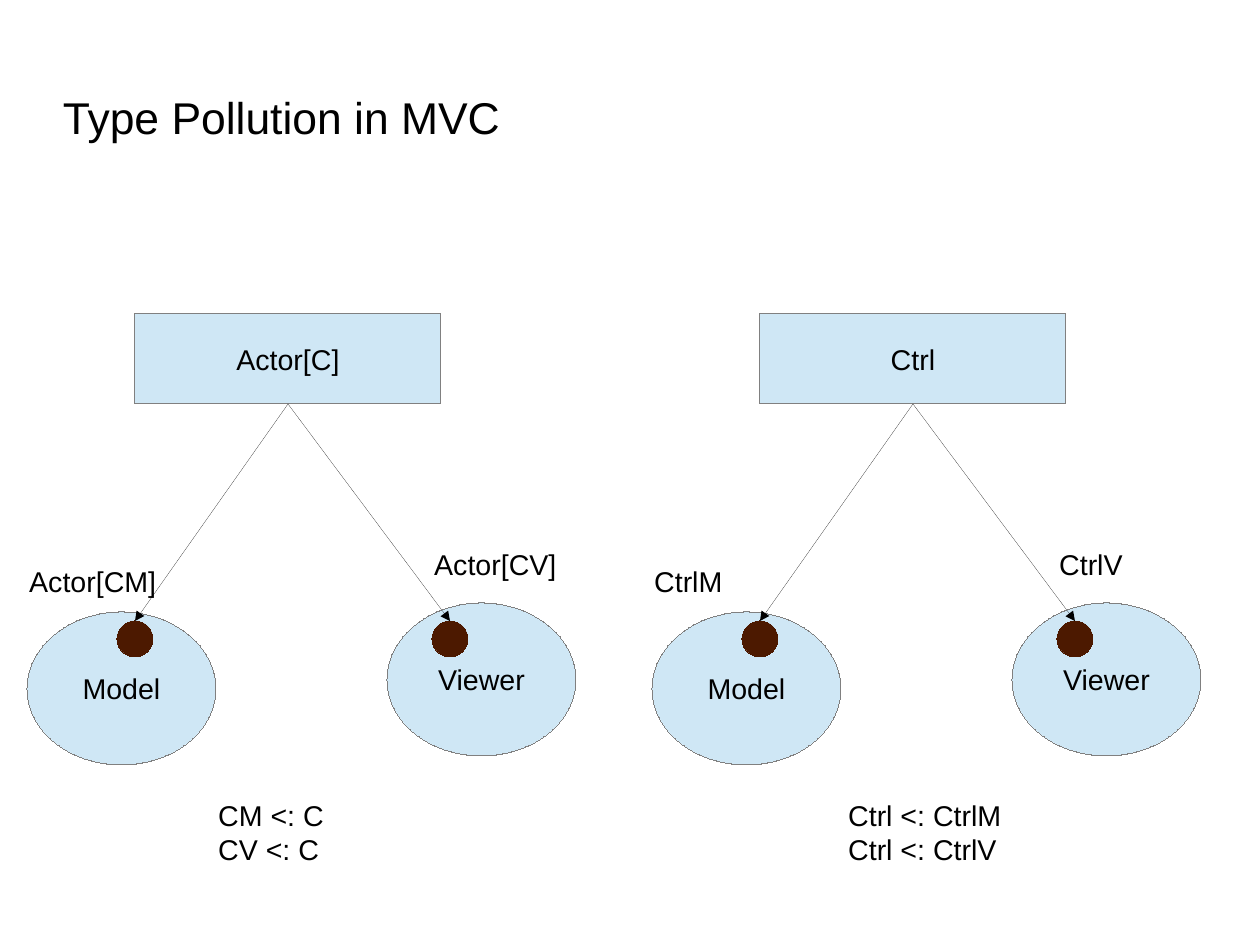
from dataclasses import dataclass

from lxml import etree
from pptx import Presentation, util as u
from pptx.dml.color import RGBColor
from pptx.enum import shapes, text
from pptx.oxml.ns import qn

PX = 8000  # EMU per px
SLIDE_WIDTH, SLIDE_HEIGHT = 1260, 945
COLORS = {"text": "000000", "node": "CFE7F5", "border": "808080",
          "port": "4C1900", "arrow": "000000"}
FONT = "Arial"
BODY_SIZE, TITLE_SIZE = 18, 28
PORT_SIZE = 36
PORT_TOP = 621


@dataclass(frozen=True)
class Box:
    left: int
    top: int
    width: int
    height: int

    def shifted(self, offset: int) -> "Box":
        return Box(self.left + offset, self.top, self.width, self.height)

    def emu(self) -> list[u.Emu]:
        return [u.Emu(value * PX)
                for value in (self.left, self.top, self.width, self.height)]


@dataclass(frozen=True)
class Component:
    name: str
    ellipse: Box
    label: Box
    port_left: int


@dataclass(frozen=True)
class Panel:
    offset: int
    controller: str
    port_types: tuple[str, str]
    relations: tuple[str, str]
    relations_box: Box


TITLE = Box(63, 38, 1134, 158)
CONTROLLER = Box(135, 314, 306, 90)
COMPONENTS = (
    Component("Model", Box(27, 612, 189, 153), Box(18, 558, 179, 43), 117),
    Component("Viewer", Box(387, 603, 189, 153), Box(423, 541, 179, 43), 432),
)
PANELS = (
    Panel(0, "Actor[C]", ("Actor[CM]", "Actor[CV]"),
          ("CM <: C", "CV <: C"), Box(207, 792, 153, 94)),
    Panel(625, "Ctrl", ("CtrlM", "CtrlV"),
          ("Ctrl <: CtrlM", "Ctrl <: CtrlV"), Box(837, 792, 198, 85)),
)


def color(name: str) -> RGBColor:
    return RGBColor.from_string(COLORS[name])


def write(frame, lines: tuple[str, ...], align=text.PP_ALIGN.LEFT,
          size: int = BODY_SIZE, **frame_format) -> None:
    for name, value in frame_format.items():
        setattr(frame, name, value)
    for index, line in enumerate(lines):
        paragraph = frame.paragraphs[0] if index == 0 else frame.add_paragraph()
        paragraph.alignment = align
        run = paragraph.add_run()
        run.text = line
        for name, value in {"name": FONT, "size": u.Pt(size)}.items():
            setattr(run.font, name, value)
        run.font.color.rgb = color("text")


def draw_hairline(shape, line_color: str):
    shape.line.color.rgb = color(line_color)
    line = shape._element.spPr.find(qn("a:ln"))
    line.set("w", "0")  # an absent width would fall back to the theme
    return line


def add_text(slide, box: Box, lines: tuple[str, ...], **options) -> None:
    textbox = slide.shapes.add_textbox(*box.emu())
    write(textbox.text_frame, lines, **{"word_wrap": True, **options})


def add_node(slide, kind, box: Box, fill: str, border: str, label: str = "") -> None:
    shape = slide.shapes.add_shape(kind, *box.emu())
    shape.shadow.inherit = False
    shape.fill.solid()
    shape.fill.fore_color.rgb = color(fill)
    draw_hairline(shape, border)
    if label:
        write(shape.text_frame, (label,), text.PP_ALIGN.CENTER,
              word_wrap=False, vertical_anchor=text.MSO_ANCHOR.MIDDLE)


def add_arrow(slide, start: tuple[int, int], end: tuple[int, int]) -> None:
    points = [u.Emu(value * PX) for value in (*start, *end)]
    connector = slide.shapes.add_connector(shapes.MSO_CONNECTOR.STRAIGHT, *points)
    line = draw_hairline(connector, "arrow")
    etree.SubElement(line, qn("a:tailEnd"), type="triangle")
    etree.SubElement(connector._element.spPr, qn("a:effectLst"))


def draw_panel(slide, panel: Panel) -> None:
    # Controller on top
    controller = CONTROLLER.shifted(panel.offset)
    add_node(slide, shapes.MSO_SHAPE.RECTANGLE, controller,
             "node", "border", panel.controller)
    source = (controller.left + controller.width // 2,
              controller.top + controller.height)

    # Components, each with its typed port and an arrow to it
    for component, port_type in zip(COMPONENTS, panel.port_types):
        port = Box(component.port_left, PORT_TOP, PORT_SIZE,
                   PORT_SIZE).shifted(panel.offset)
        add_node(slide, shapes.MSO_SHAPE.OVAL, component.ellipse.shifted(panel.offset),
                 "node", "border", component.name)
        add_node(slide, shapes.MSO_SHAPE.OVAL, port, "port", "port")
        add_arrow(slide, source, (port.left + PORT_SIZE // 2, PORT_TOP))
        add_text(slide, component.label.shifted(panel.offset), (port_type,))

    # Subtype relations below
    add_text(slide, panel.relations_box, panel.relations)


def main() -> None:
    presentation = Presentation()
    presentation.slide_width = u.Emu(SLIDE_WIDTH * PX)
    presentation.slide_height = u.Emu(SLIDE_HEIGHT * PX)
    slide = presentation.slides.add_slide(presentation.slide_layouts[6])

    # Title
    margins = dict.fromkeys(
        ("margin_left", "margin_top", "margin_right", "margin_bottom"), 0)
    add_text(slide, TITLE, ("Type Pollution in MVC",), size=TITLE_SIZE,
             vertical_anchor=text.MSO_ANCHOR.MIDDLE, **margins)

    # Typed actors on the left, plain controllers on the right
    for panel in PANELS:
        draw_panel(slide, panel)

    presentation.save("out.pptx")


if __name__ == "__main__":
    main()
